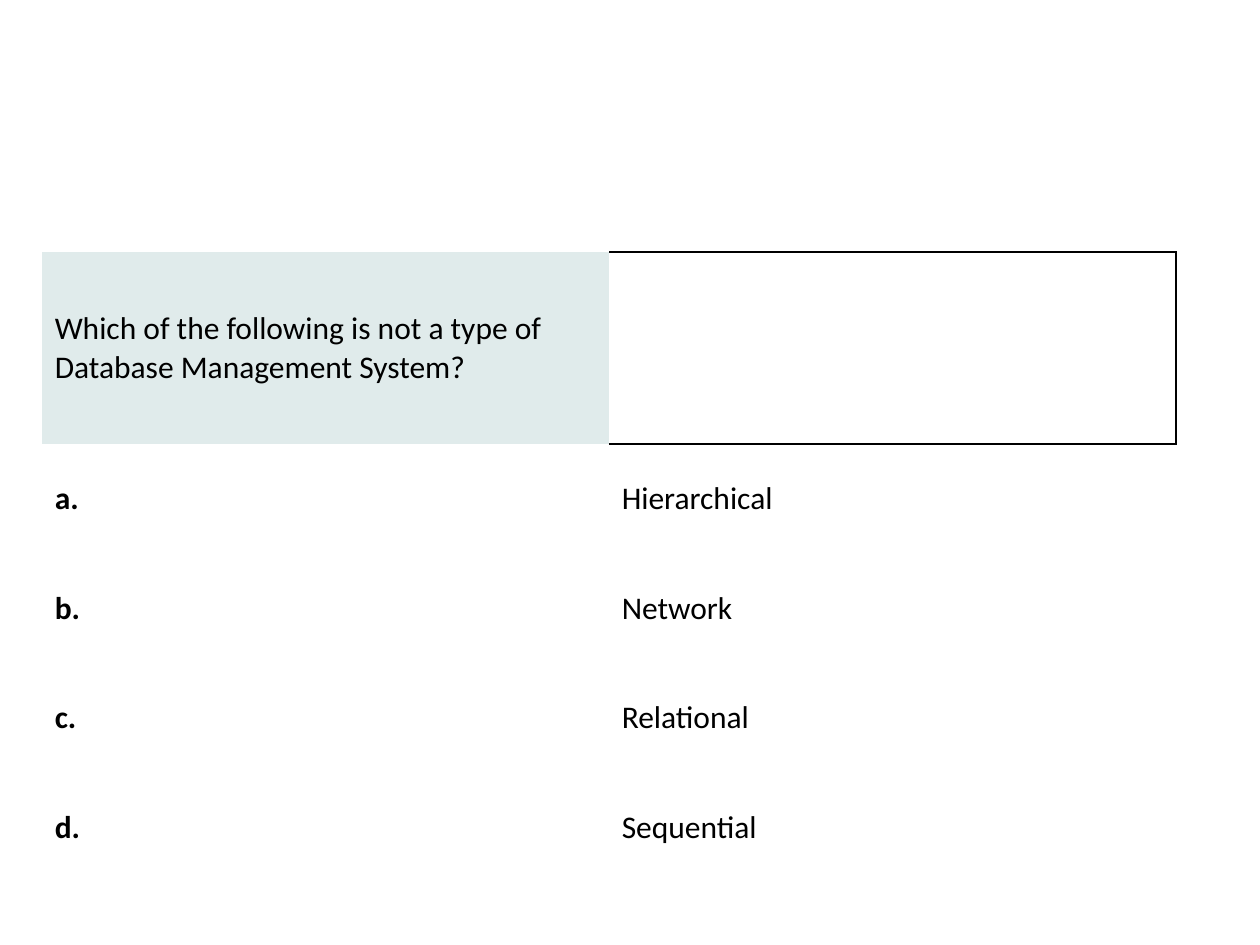
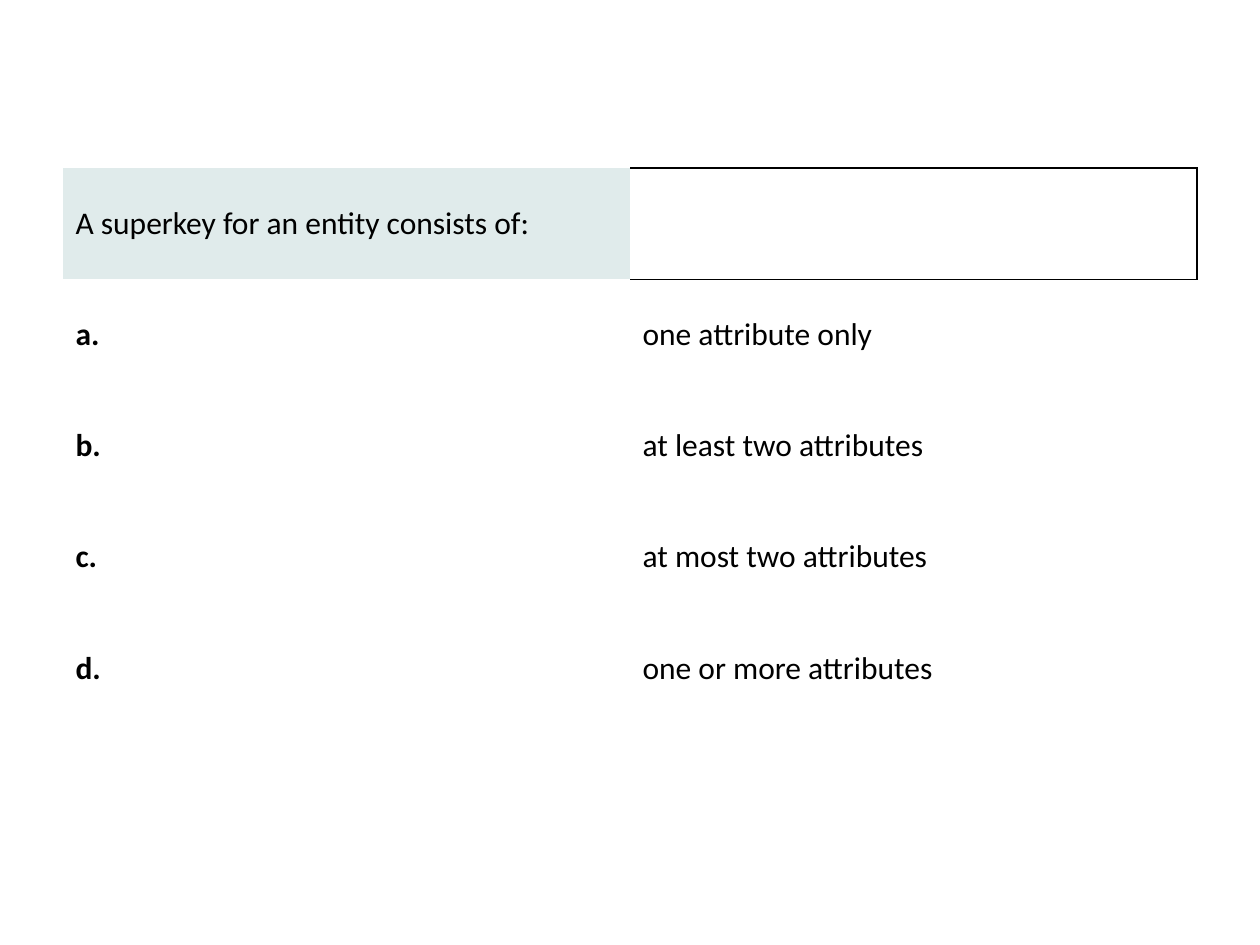
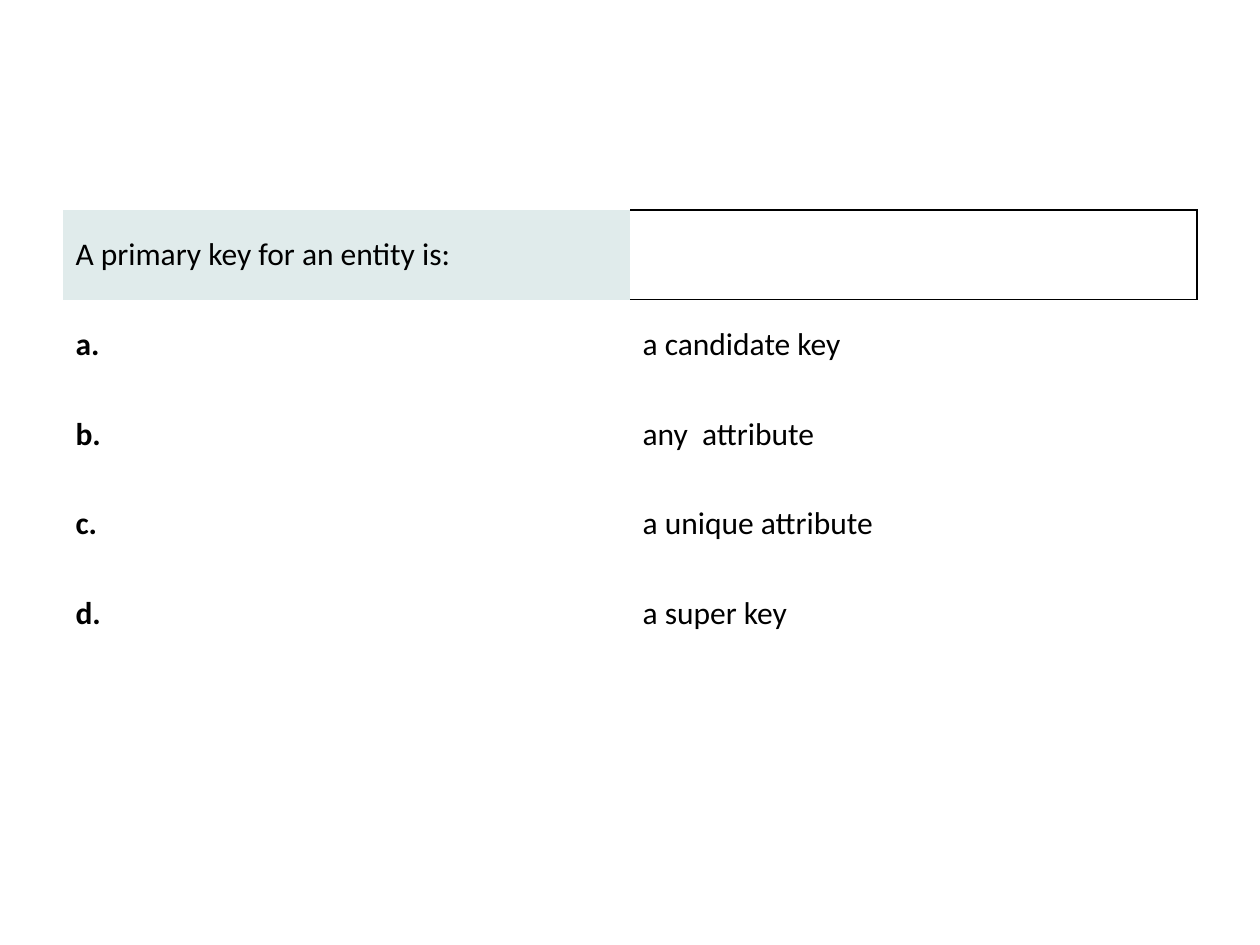
from dataclasses import dataclass

from lxml.etree import SubElement
from pptx import Presentation
from pptx.dml.color import RGBColor
from pptx.enum.text import MSO_ANCHOR
from pptx.oxml.ns import qn
from pptx.util import Cm, Pt


@dataclass(frozen=True)
class Theme:
    """Colours, type and measures shared by all slides."""

    font: str = "Calibri"
    size: int = 18
    text: str = "000000"
    question_fill: str = "E0EBEB"
    border: str = "000000"
    border_width: float = 1
    column_width: float = 11.43


class QuizDeck:
    """Builds quiz slides in one style."""

    def __init__(self, theme):
        """Start an empty 4:3 presentation."""
        self.theme = theme
        self.presentation = Presentation()
        self.presentation.slide_width = Cm(25.4)
        self.presentation.slide_height = Cm(19.05)
        self.slide = None

    def add_slide(self):
        """Add a blank slide and make it current."""
        self.slide = self.presentation.slides.add_slide(self.presentation.slide_layouts[6])

    def set_borders(self, cell, drawn_sides):
        """Draw the named sides of a cell and clear the others."""
        properties = cell._tc.get_or_add_tcPr()
        for side in "LRTB":
            line = SubElement(properties, qn(f"a:ln{side}"), w=str(Pt(self.theme.border_width)))
            if side in drawn_sides:
                fill = SubElement(line, qn("a:solidFill"))
                SubElement(fill, qn("a:srgbClr"), val=self.theme.border)
            else:
                SubElement(line, qn("a:noFill"))

    def fill_cell(self, cell, text, bold=False, fill=None, borders=""):
        """Write and style one table cell."""
        self.set_borders(cell, borders)
        if fill:
            cell.fill.solid()
            cell.fill.fore_color.rgb = RGBColor.from_string(fill)
        else:
            cell.fill.background()
        cell.vertical_anchor = MSO_ANCHOR.MIDDLE
        cell.text = text
        font = cell.text_frame.paragraphs[0].font
        font.name = self.theme.font
        font.size = Pt(self.theme.size)
        font.bold = bold
        font.color.rgb = RGBColor.from_string(self.theme.text)

    def add_question(self, question, answers, left, top, question_height, answer_height):
        """Add a table with a question row and lettered answer rows."""
        height = question_height + answer_height * len(answers)
        table = self.slide.shapes.add_table(
            len(answers) + 1, 2, Cm(left), Cm(top), Cm(2 * self.theme.column_width), Cm(height)
        ).table
        table.first_row = table.horz_banding = False
        for column in table.columns:
            column.width = Cm(self.theme.column_width)
        table.rows[0].height = Cm(question_height)
        self.fill_cell(table.cell(0, 0), question, fill=self.theme.question_fill)
        self.fill_cell(table.cell(0, 1), "", borders="RTB")
        for row, (letter, answer) in enumerate(zip("abcd", answers), start=1):
            table.rows[row].height = Cm(answer_height)
            self.fill_cell(table.cell(row, 0), f"{letter}.", bold=True)
            self.fill_cell(table.cell(row, 1), answer, borders="T" if row == 1 else "")


def main():
    """Build the quiz slides."""
    deck = QuizDeck(Theme())

    deck.add_slide()
    deck.add_question(
        "Which of the following is not a type of Database Management System?",
        ["Hierarchical", "Network", "Relational", "Sequential"],
        left=0.85, top=5.08, question_height=3.87, answer_height=2.21,
    )

    deck.add_slide()
    deck.add_question(
        "A superkey for an entity consists of:",
        ["one attribute only", "at least two attributes",
         "at most two attributes", "one or more attributes"],
        left=1.27, top=3.39, question_height=2.24, answer_height=2.24,
    )

    deck.add_slide()
    deck.add_question(
        "A primary key for an entity is:",
        ["a candidate key", "any  attribute", "a unique attribute", "a super key"],
        left=1.27, top=4.23, question_height=1.81, answer_height=1.81,
    )

    deck.presentation.save("out.pptx")


if __name__ == "__main__":
    main()
